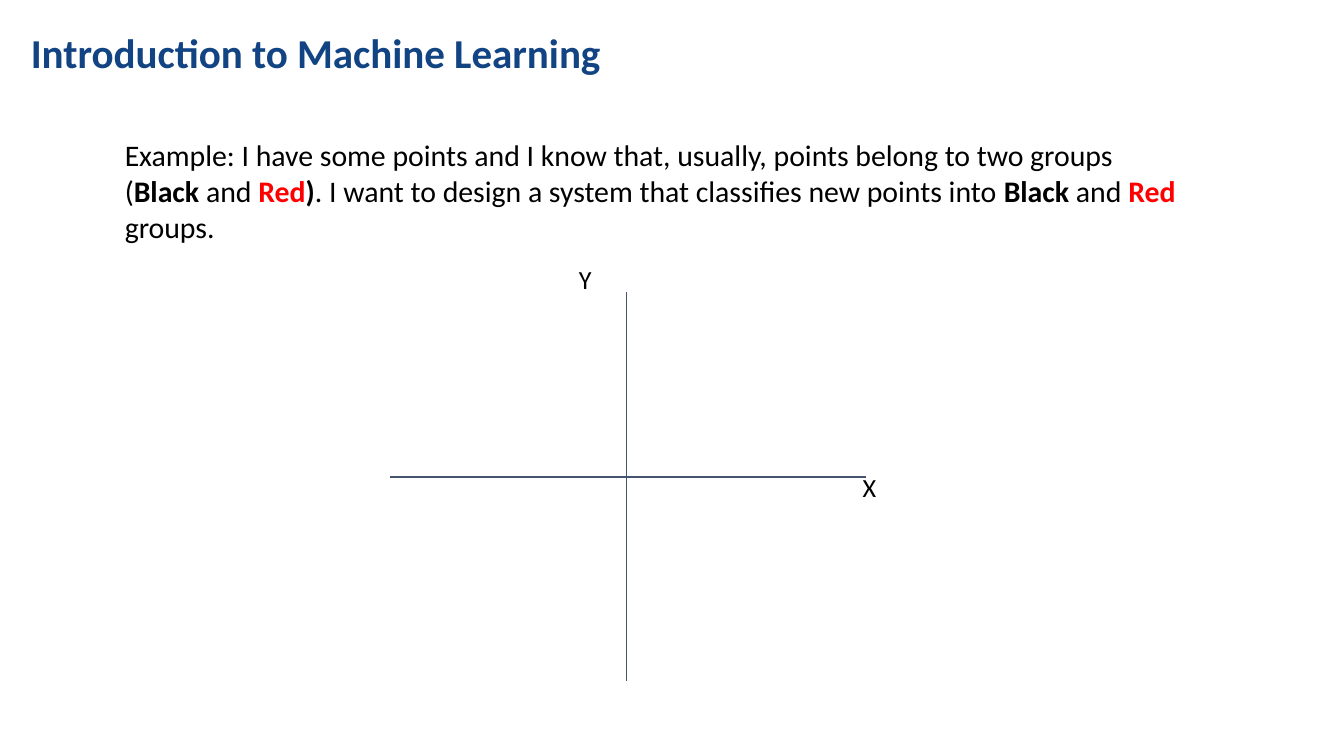
from lxml.etree import SubElement
from pptx import Presentation
from pptx.dml.color import RGBColor
from pptx.enum.shapes import MSO_CONNECTOR
from pptx.enum.text import MSO_ANCHOR
from pptx.oxml.ns import qn
from pptx.util import Inches, Pt

WIDTH = 10
HEIGHT = WIDTH * 9 / 16
FONT = "Calibri"
NAVY, BLACK, RED, SLATE = "124484", "000000", "FF0000", "44546A"

# Content: runs are (text, colour, bold)
TITLE = [("Introduction to Machine Learning", NAVY, True)]
BODY = [
    ("Example: I have some points and I know that, usually, "
     "points belong to two groups (", BLACK, False),
    ("Black ", BLACK, True),
    ("and ", BLACK, False),
    ("Red", RED, True),
    (")", BLACK, True),
    (". I want to design a system that classifies new points into ",
     BLACK, False),
    ("Black", BLACK, True),
    (" and ", BLACK, False),
    ("Red", RED, True),
    (" groups.", BLACK, False),
]

# Axes: the point where they cross, and how far each arm reaches
CROSS = (4.66, 3.55)
LEFT, RIGHT, UP, DOWN = 1.76, 1.78, 1.38, 1.52
LABELS = [("X", 6.32, 3.41), ("Y", 4.21, 1.86)]
LABEL_SIZE = (0.57, 0.44)


def color(code):
    return RGBColor.from_string(code)


def add_text(slide, area, runs, size, inset=(0.1, 0.1)):
    frame = slide.shapes.add_textbox(*map(Inches, area)).text_frame
    frame.word_wrap = True
    frame.margin_left = frame.margin_right = Inches(inset[0])
    frame.margin_top = frame.margin_bottom = Inches(inset[1])
    for text, code, bold in runs:
        run = frame.paragraphs[0].add_run()
        run.text = text
        font = run.font
        font.name, font.size, font.bold = FONT, Pt(size), bold
        font.color.rgb = color(code)
    return frame


def add_axis(slide, *ends):
    line = slide.shapes.add_connector(
        MSO_CONNECTOR.STRAIGHT, *map(Inches, ends))
    line.line.color.rgb = color(SLATE)
    line.line.width = Pt(0.75)
    SubElement(line._element.spPr, qn("a:effectLst"))


def main():
    deck = Presentation()
    deck.slide_width, deck.slide_height = Inches(WIDTH), Inches(HEIGHT)
    slide = deck.slides.add_slide(deck.slide_layouts[6])

    # Title
    title = add_text(slide, (0.16, 0.21, WIDTH - 0.16, 0.4), TITLE, 22,
                     (0.07, 0.04))
    title.vertical_anchor = MSO_ANCHOR.MIDDLE
    title.paragraphs[0].line_spacing = 0.9

    # Example text
    add_text(slide, (0.83, 0.92, 8.08, 1.01), BODY, 16)

    # Axes and their labels
    x, y = CROSS
    add_axis(slide, x, y - UP, x, y + DOWN)
    add_axis(slide, x + RIGHT, y, x - LEFT, y)
    for name, left, top in LABELS:
        add_text(slide, (left, top, *LABEL_SIZE), [(name, BLACK, False)], 14)

    deck.save("out.pptx")


if __name__ == "__main__":
    main()
